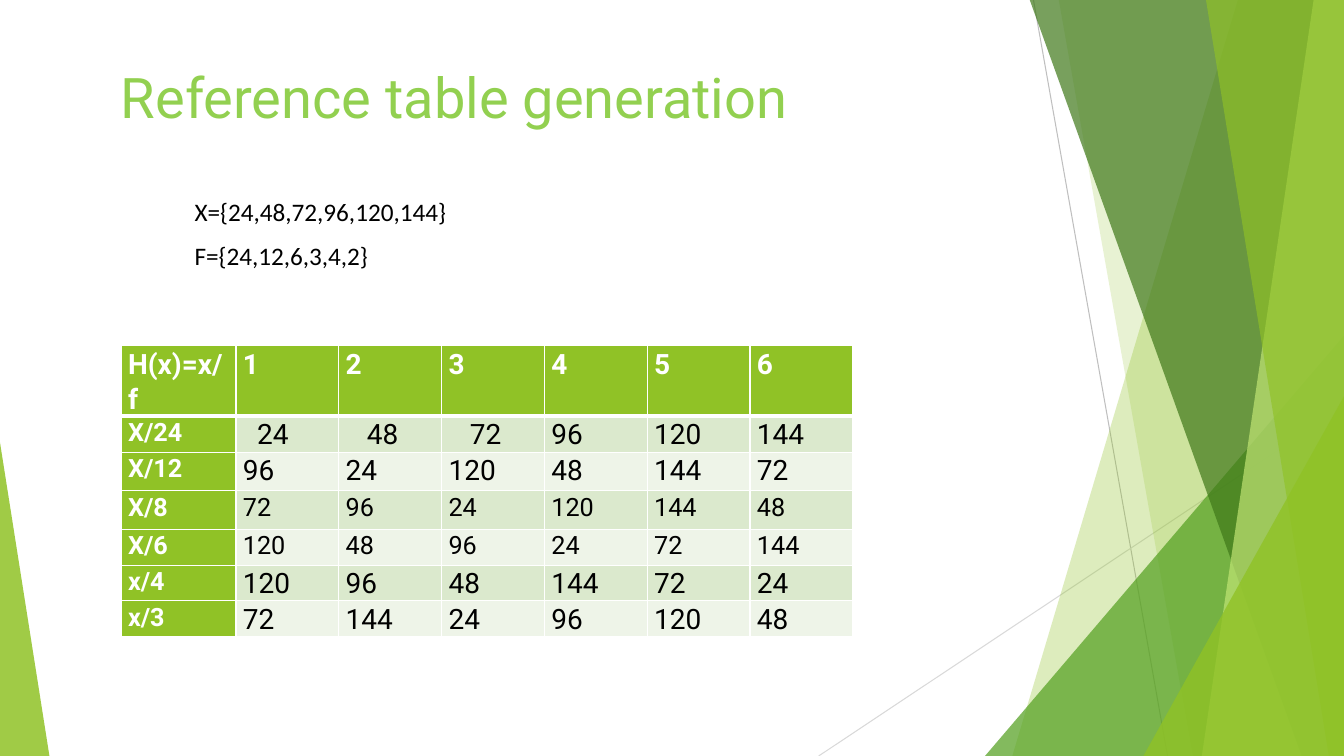
from dataclasses import dataclass

from lxml.etree import SubElement
from pptx import Presentation
from pptx.dml.color import RGBColor
from pptx.enum.shapes import MSO_CONNECTOR, MSO_SHAPE
from pptx.enum.text import MSO_ANCHOR, PP_ALIGN
from pptx.oxml.ns import qn
from pptx.util import Inches, Pt


@dataclass(frozen=True)
class Theme:
    white: str = "FFFFFF"
    black: str = "000000"
    title: str = "92D050"
    lime: str = "90C226"
    green: str = "54A021"
    forest: str = "3F7819"
    pale: str = "C0E474"
    band_dark: str = "DBE9CD"
    band_light: str = "EEF4E8"
    line_dark: str = "BFBFBF"
    line_light: str = "D9D9D9"
    heading_font: str = "Roboto"
    body_font: str = "Calibri"
    title_size: int = 40
    large: int = 20
    normal: int = 18


THEME = Theme()
TOP, BOTTOM, RIGHT = -0.01, 7.5, 13.33

RAYS = [
    ((10.25, 0), (11.58, BOTTOM), THEME.line_dark),
    ((RIGHT, 4.03), (8.12, BOTTOM), THEME.line_light),
]
FACETS = [
    ("band", (12.28, 10.04), THEME.lime, 30),
    ("band", (10.5, 11.83), THEME.lime, 20),
    ("triangle", (9.77, 3.33, 3.56, 4.17, 1), THEME.green, 72),
    ("band", (10.21, 12.91), THEME.forest, 70),
    ("band", (13.03, 11.92), THEME.pale, 70),
    ("band", (11.96, 13.18), THEME.lime, 65),
    ("triangle", (11.34, 3.93, 1.99, 3.57, 1), THEME.lime, 80),
    ("triangle", (0, 4.39, 0.49, 3.11, 0), THEME.lime, 85),
]
SETS = ["X={24,48,72,96,120,144}", "F={24,12,6,3,4,2}"]
HASH_ROWS = [
    ["H(x)=x/f", "1", "2", "3", "4", "5", "6"],
    ["X/24", "24", "48", "72", "96", "120", "144"],
    ["X/12", "96", "24", "120", "48", "144", "72"],
    ["X/8", "72", "96", "24", "120", "144", "48"],
    ["X/6", "120", "48", "96", "24", "72", "144"],
    ["x/4", "120", "96", "48", "144", "72", "24"],
    ["x/3", "72", "144", "24", "96", "120", "48"],
]
COLUMN_WIDTHS = [1.14] + [1.02] * 6
ROW_HEIGHTS = [0.68, 0.36, 0.38, 0.38, 0.36, 0.35, 0.36]
SMALL_ROWS = (3, 4)
CELL_INDENTS = {(1, 1): 0.14, (1, 2): 0.21, (1, 3): 0.21}


def apply(target, values):
    for name, value in values.items():
        setattr(target, name, value)


def write(para, text, font, size, color, bold=False, **para_format):
    apply(para, para_format)
    span = para.add_run()
    span.text = text
    apply(span.font, {"name": font, "size": Pt(size), "bold": bold})
    span.font.color.rgb = RGBColor.from_string(color)


def place(box, left, top, width, height):
    apply(box, {"left": Inches(left), "top": Inches(top),
                "width": Inches(width), "height": Inches(height)})


def add_ray(page, start, end, color):
    ray = page.shapes.add_connector(
        MSO_CONNECTOR.STRAIGHT, *(Inches(value) for value in start + end))
    ray.line.width = Pt(0.75)
    ray.line.color.rgb = RGBColor.from_string(color)
    SubElement(ray._element.spPr, qn("a:effectLst"))


def add_band(page, top_x, bottom_x):
    corners = [(top_x, TOP), (RIGHT, TOP), (RIGHT, BOTTOM), (bottom_x, BOTTOM)]
    points = [(Inches(x), Inches(y)) for x, y in corners]
    builder = page.shapes.build_freeform(*points[0])
    builder.add_line_segments(points[1:], close=True)
    return builder.convert_to_shape()


def add_triangle(page, left, top, width, height, apex):
    triangle = page.shapes.add_shape(
        MSO_SHAPE.ISOSCELES_TRIANGLE,
        Inches(left), Inches(top), Inches(width), Inches(height))
    triangle.adjustments[0] = apex
    return triangle


def add_facet(page, kind, geometry, color, opacity):
    build = {"band": add_band, "triangle": add_triangle}[kind]
    facet = build(page, *geometry)
    facet.shadow.inherit = False
    facet.line.fill.background()
    facet.fill.solid()
    facet.fill.fore_color.rgb = RGBColor.from_string(color)
    color_node = facet._element.spPr.find(qn("a:solidFill"))[0]
    SubElement(color_node, qn("a:alpha"), val=str(opacity * 1000))


def add_title(page, text):
    box = page.shapes.title
    place(box, 1.1, 0.57, 7.08, 0.77)
    apply(box.text_frame, {"word_wrap": False, "vertical_anchor": MSO_ANCHOR.TOP})
    write(box.text_frame.paragraphs[0], text, THEME.heading_font,
          THEME.title_size, THEME.title, alignment=PP_ALIGN.LEFT)


def add_sets(page, lines):
    box = page.placeholders[1]
    place(box, 1.83, 1.88, 6.67, 0.85)
    frame = box.text_frame
    frame.word_wrap = True
    for index, line in enumerate(lines):
        para = frame.add_paragraph() if index else frame.paragraphs[0]
        write(para, line, THEME.body_font, THEME.normal, THEME.black,
              line_spacing=1.07, space_before=Pt(0), space_after=Pt(8))
        properties = para._p.get_or_add_pPr()
        properties.set("marL", "0")
        properties.set("indent", "0")
        SubElement(properties, qn("a:buNone"))


def add_borders(cell, widths):
    properties = cell._tc.get_or_add_tcPr()
    for side, width in widths.items():
        border = SubElement(properties, qn(f"a:ln{side}"), w=str(Pt(width)))
        fill = SubElement(border, qn("a:solidFill"))
        SubElement(fill, qn("a:srgbClr"), val=THEME.white)


def format_cell(cell, row, column, text):
    header = row == 0 or column == 0
    band = THEME.band_dark if row % 2 else THEME.band_light
    small = row in SMALL_ROWS or (row > 0 and column == 0)
    indent = CELL_INDENTS.get((row, column), 0)
    add_borders(cell, {"L": 1, "R": 1, "T": 3 if row == 1 else 1,
                       "B": 3 if row == 0 else 1})
    cell.fill.solid()
    cell.fill.fore_color.rgb = RGBColor.from_string(THEME.lime if header else band)
    apply(cell, {"margin_left": Inches(0.07 + indent), "margin_right": Inches(0.07),
                 "margin_top": 0, "margin_bottom": 0})
    write(cell.text_frame.paragraphs[0], text, THEME.heading_font,
          THEME.normal if small else THEME.large,
          THEME.white if header else THEME.black, header, line_spacing=1.07)


def add_hash_table(page):
    table = page.shapes.add_table(
        len(HASH_ROWS), len(COLUMN_WIDTHS), Inches(1.2), Inches(3.43),
        Inches(sum(COLUMN_WIDTHS)), Inches(sum(ROW_HEIGHTS))).table
    apply(table, {"first_col": True})
    for column, width in zip(table.columns, COLUMN_WIDTHS):
        column.width = Inches(width)
    for row, height in zip(table.rows, ROW_HEIGHTS):
        row.height = Inches(height)
    for row, texts in enumerate(HASH_ROWS):
        for column, text in enumerate(texts):
            format_cell(table.cell(row, column), row, column, text)


def main():
    deck = Presentation()
    apply(deck, {"slide_width": Inches(RIGHT), "slide_height": Inches(BOTTOM)})
    page = deck.slides.add_slide(deck.slide_layouts[1])
    for ray in RAYS:
        add_ray(page, *ray)
    for facet in FACETS:
        add_facet(page, *facet)
    add_hash_table(page)
    add_title(page, "Reference table generation")
    add_sets(page, SETS)
    deck.save("out.pptx")


if __name__ == "__main__":
    main()
